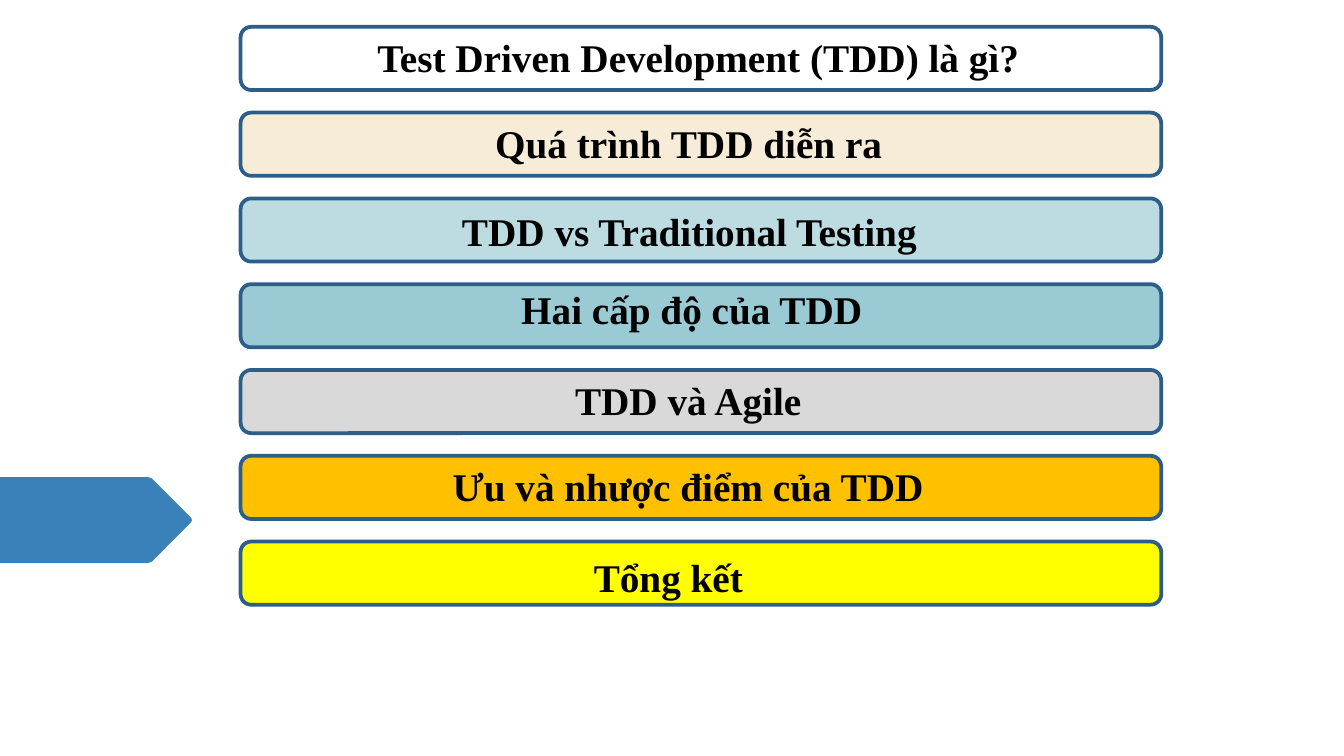
from pptx import Presentation
from pptx import util as u
from pptx.dml import color
from pptx.enum import shapes, text

LEFT, CENTER = text.PP_ALIGN.LEFT, text.PP_ALIGN.CENTER
PAGE_WIDTH = 10
PAGE_HEIGHT = PAGE_WIDTH * 9 / 16
LABEL_FONT = {"name": "Times New Roman", "size": u.Pt(21), "bold": True}
AGENDA_BOX = (1.79, 0.2, 6.85, 0.47)
ROW_PITCH = 3.83 / 6
AGENDA = [
    ("Test Driven Development (TDD) là gì?", "FFFFFF", (0.92, 0, 5.47, 0.81), LEFT),
    ("Quá trình TDD diễn ra", "F7ECD7", (1.12, 0, 4.43, 0.81), CENTER),
    ("TDD vs Traditional Testing", "BCDCE1", (0.46, 0.02, 5.76, 0.81), CENTER),
    ("Hai cấp độ của TDD", "9ACAD3", (1.99, -0.04, 3.68, 0.45), LEFT),
    ("TDD và Agile", "D9D9D9", (2.39, 0, 2.89, 0.45), LEFT),
    ("Ưu và nhược điểm của TDD", "FFC000", (1.48, 0, 4.24, 0.45), LEFT),
    ("Tổng kết", "FFFF00", (2.53, 0.04, 3.14, 0.45), LEFT),
]


def paint(target, value):
    """Give a fill or line format a solid colour from a hex string."""
    target.solid()
    target.fore_color.rgb = color.RGBColor.from_string(value)


def add_side_arrow(page, left, top, width, height):
    """Draw the blunt-cornered arrow that enters from the page edge."""
    middle, shoulder = height / 2, width - 0.3
    points = [(0, 0), (shoulder - 0.03, 0), (shoulder, 0.01),
              (width - 0.01, middle - 0.02), (width, middle),
              (width - 0.01, middle + 0.02), (shoulder, height - 0.01),
              (shoulder - 0.03, height), (0, height)]
    corners = [(u.Inches(left + x), u.Inches(top + y)) for x, y in points]
    builder = page.shapes.build_freeform(*corners[0], scale=1.0)
    builder.add_line_segments(corners[1:], close=True)
    arrow = builder.convert_to_shape()
    arrow.shadow.inherit = False
    paint(arrow.fill, "3A81BA")
    arrow.line.fill.background()


def add_bar(page, left, top, width, height, fill):
    """Draw one outlined rounded bar."""
    bar = page.shapes.add_shape(shapes.MSO_SHAPE.ROUNDED_RECTANGLE,
                                *map(u.Inches, (left, top, width, height)))
    bar.shadow.inherit = False
    paint(bar.fill, fill)
    paint(bar.line.fill, "2B5F8A")
    bar.line.width = u.Pt(2)


def add_label(page, left, top, width, height, wording, alignment):
    """Place one bold line of text."""
    box = page.shapes.add_textbox(*map(u.Inches, (left, top, width, height)))
    frame = box.text_frame
    frame.word_wrap = True
    frame.auto_size = text.MSO_AUTO_SIZE.SHAPE_TO_FIT_TEXT
    para = frame.paragraphs[0]
    para.alignment = alignment
    span = para.add_run()
    span.text = wording
    for name, value in LABEL_FONT.items():
        setattr(span.font, name, value)
    paint(span.font.fill, "000000")


def add_agenda(page, left, top, width, height):
    """Stack the agenda bars, then lay their labels over them."""
    for row, (_, fill, _, _) in enumerate(AGENDA):
        add_bar(page, left, top + row * ROW_PITCH, width, height, fill)
    for row, (wording, _, (x, y, wide, high), alignment) in enumerate(AGENDA):
        add_label(page, left + x, top + row * ROW_PITCH + y, wide, high,
                  wording, alignment)


deck = Presentation()
deck.slide_width, deck.slide_height = u.Inches(PAGE_WIDTH), u.Inches(PAGE_HEIGHT)
page = deck.slides.add_slide(deck.slide_layouts[6])
paint(page.background.fill, "FFFFFF")
add_side_arrow(page, 0, 3.55, 1.43, 0.64)
add_agenda(page, *AGENDA_BOX)
deck.save("out.pptx")
